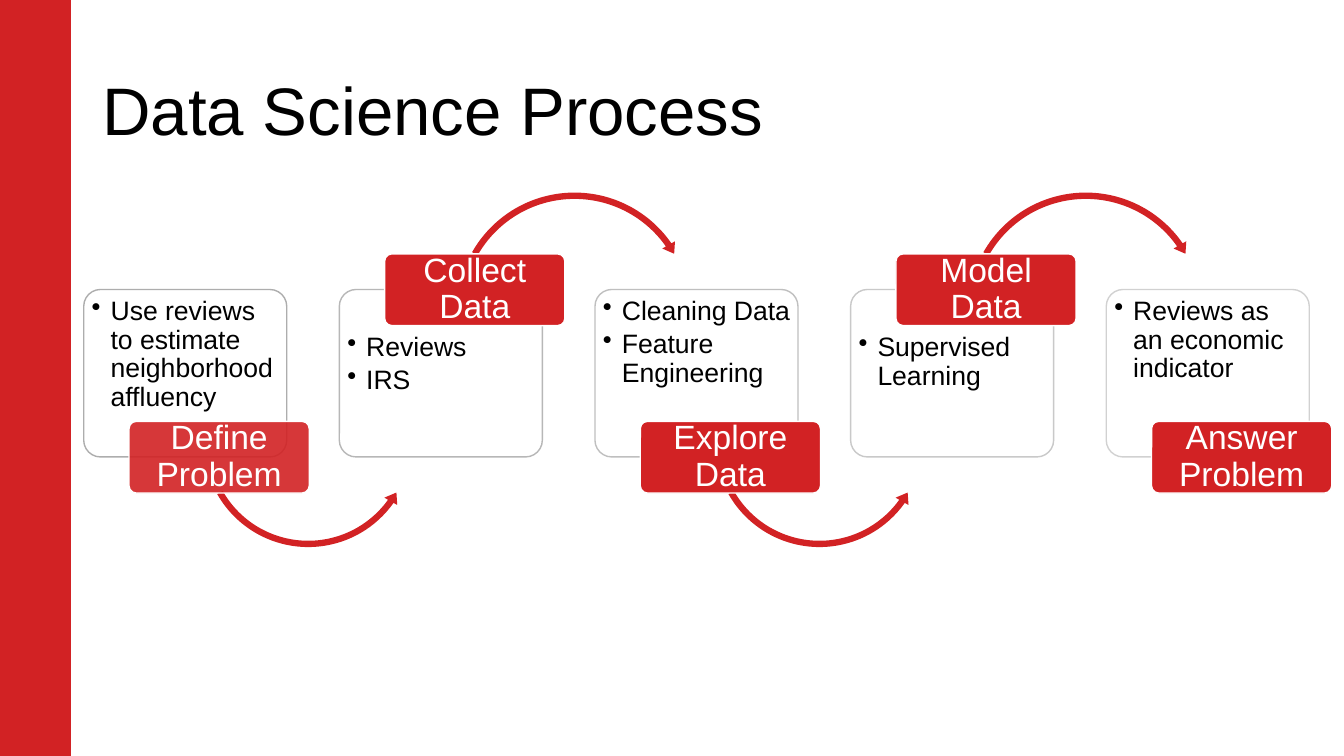
from dataclasses import dataclass
from typing import Any

from lxml.etree import SubElement
from pptx import Presentation
from pptx.dml.color import RGBColor
from pptx.enum.shapes import MSO_SHAPE as Preset
from pptx.enum.text import MSO_ANCHOR as Anchor, MSO_AUTO_SIZE as AutoSize, PP_ALIGN as Align
from pptx.oxml.ns import qn
from pptx.util import Pt

RED = RGBColor(0xD2, 0x22, 0x24)
WHITE = RGBColor(0xFF, 0xFF, 0xFF)
BLACK = RGBColor(0x00, 0x00, 0x00)
GREY = RGBColor(0xA5, 0xA5, 0xA5)

FIRST_LEFT, STEP_PITCH = 59.8, 182.6
CARD_TOP, CARD_WIDTH, CARD_HEIGHT = 206.8, 145, 119.6
TAG_SHIFT, TAG_WIDTH, TAG_HEIGHT = 32.4, 128.7, 51.2
CORNER = 0.1
BULLET_INDENT = 13.5


@dataclass(frozen=True)
class Step:
    name: str
    details: tuple[str, ...]
    card_opacity: int = 100
    tag_opacity: int = 100


@dataclass(frozen=True)
class Side:
    tag_top: float
    details_inset: float
    arrow: Preset
    arrow_shift: float
    arrow_top: float
    arrow_size: float
    arrow_adjustments: tuple[float, ...]


STEPS = (
    Step("Define Problem", ("Use reviews to estimate neighborhood affluency",), 90, 90),
    Step("Collect Data", ("Reviews", "IRS"), 90),
    Step("Explore Data", ("Cleaning Data", "Feature Engineering"), 90),
    Step("Model Data", ("Supervised Learning",)),
    Step("Answer Problem", ("Reviews as an economic indicator",)),
)
BELOW = Side(301, 2.2, Preset.LEFT_CIRCULAR_ARROW, 82.6, 238.3, 155.5,
             (0.029, 3.53, 21.285, 90.245, 0.034))
ABOVE = Side(181.4, 28.2, Preset.CIRCULAR_ARROW, 80.9, 134.6, 174.2,
             (0.026, 3.132, 195.113, 125.755, 0.03))


def apply(target: Any, formats: dict[str, Any]) -> None:
    for attribute, value in formats.items():
        setattr(target, attribute, value)


def fade(painted: Any, opacity: int) -> None:
    if opacity < 100:
        color = next(painted.iter(qn("a:srgbClr")))
        SubElement(color, qn("a:alpha"), val=str(opacity * 1000))


def add_block(slide: Any, preset: Preset, left: float, top: float, width: float,
              height: float, fill: RGBColor, line: RGBColor | None = None,
              opacity: int = 100, line_opacity: int = 100) -> Any:
    block = slide.shapes.add_shape(preset, Pt(left), Pt(top), Pt(width), Pt(height))
    block.shadow.inherit = False
    block.fill.solid()
    block.fill.fore_color.rgb = fill
    properties = block.element.spPr
    fade(properties.find(qn("a:solidFill")), opacity)
    if line is None:
        block.line.fill.background()
    else:
        block.line.color.rgb = line
        block.line.width = Pt(1)
        fade(properties.find(qn("a:ln")), line_opacity)
    return block


def write(frame: Any, lines: tuple[str, ...], size: float, color: RGBColor,
          align: Align, anchor: Anchor, insets: tuple[float, float, float, float],
          bulleted: bool = False) -> None:
    left, top, right, bottom = map(Pt, insets)
    apply(frame, {"word_wrap": True, "auto_size": AutoSize.NONE,
                  "vertical_anchor": anchor, "margin_left": left, "margin_top": top,
                  "margin_right": right, "margin_bottom": bottom})
    for index, line in enumerate(lines):
        paragraph = frame.add_paragraph() if index else frame.paragraphs[0]
        if bulleted:
            properties = paragraph._p.get_or_add_pPr()
            properties.set("marL", str(Pt(BULLET_INDENT)))
            properties.set("indent", str(-Pt(BULLET_INDENT)))
            SubElement(properties, qn("a:buChar"), char="•")
        apply(paragraph, {"alignment": align, "line_spacing": 0.9,
                          "space_before": Pt(0), "space_after": Pt(3 if bulleted else 0)})
        run = paragraph.add_run()
        run.text = line
        apply(run.font, {"name": "Arial", "size": Pt(size)})
        run.font.color.rgb = color


def add_step(slide: Any, index: int, step: Step) -> None:
    side = ABOVE if index % 2 else BELOW
    left = FIRST_LEFT + index * STEP_PITCH

    card = add_block(slide, Preset.ROUNDED_RECTANGLE, left, CARD_TOP, CARD_WIDTH,
                     CARD_HEIGHT, WHITE, GREY, step.card_opacity, 90 - 10 * index)
    card.adjustments[0] = CORNER
    write(card.text_frame, step.details, 19, BLACK, Align.LEFT, Anchor.TOP,
          (2.2, side.details_inset, 1, 2.2), bulleted=True)

    if index < len(STEPS) - 1:
        arrow = add_block(slide, side.arrow, left + side.arrow_shift, side.arrow_top,
                          side.arrow_size, side.arrow_size, RED)
        for position, value in enumerate(side.arrow_adjustments):
            arrow.adjustments[position] = value

    tag = add_block(slide, Preset.ROUNDED_RECTANGLE, left + TAG_SHIFT, side.tag_top,
                    TAG_WIDTH, TAG_HEIGHT, RED, WHITE, step.tag_opacity)
    tag.adjustments[0] = CORNER
    write(tag.text_frame, (step.name,), 24, WHITE, Align.CENTER, Anchor.MIDDLE,
          (3.6, 2.4, 3.6, 2.4))


def main() -> None:
    deck = Presentation()
    apply(deck, {"slide_width": Pt(960), "slide_height": Pt(540)})
    slide = deck.slides.add_slide(deck.slide_layouts[5])

    title = slide.shapes.title
    apply(title, {"left": Pt(66), "top": Pt(28.8), "width": Pt(828), "height": Pt(104.4)})
    write(title.text_frame, ("Data Science Process",), 48, BLACK, Align.LEFT,
          Anchor.MIDDLE, (7.2, 3.6, 7.2, 3.6))

    add_block(slide, Preset.RECTANGLE, 0, 0, 50.6, 540, RED)
    for index, step in enumerate(STEPS):
        add_step(slide, index, step)
    deck.save("out.pptx")


if __name__ == "__main__":
    main()
